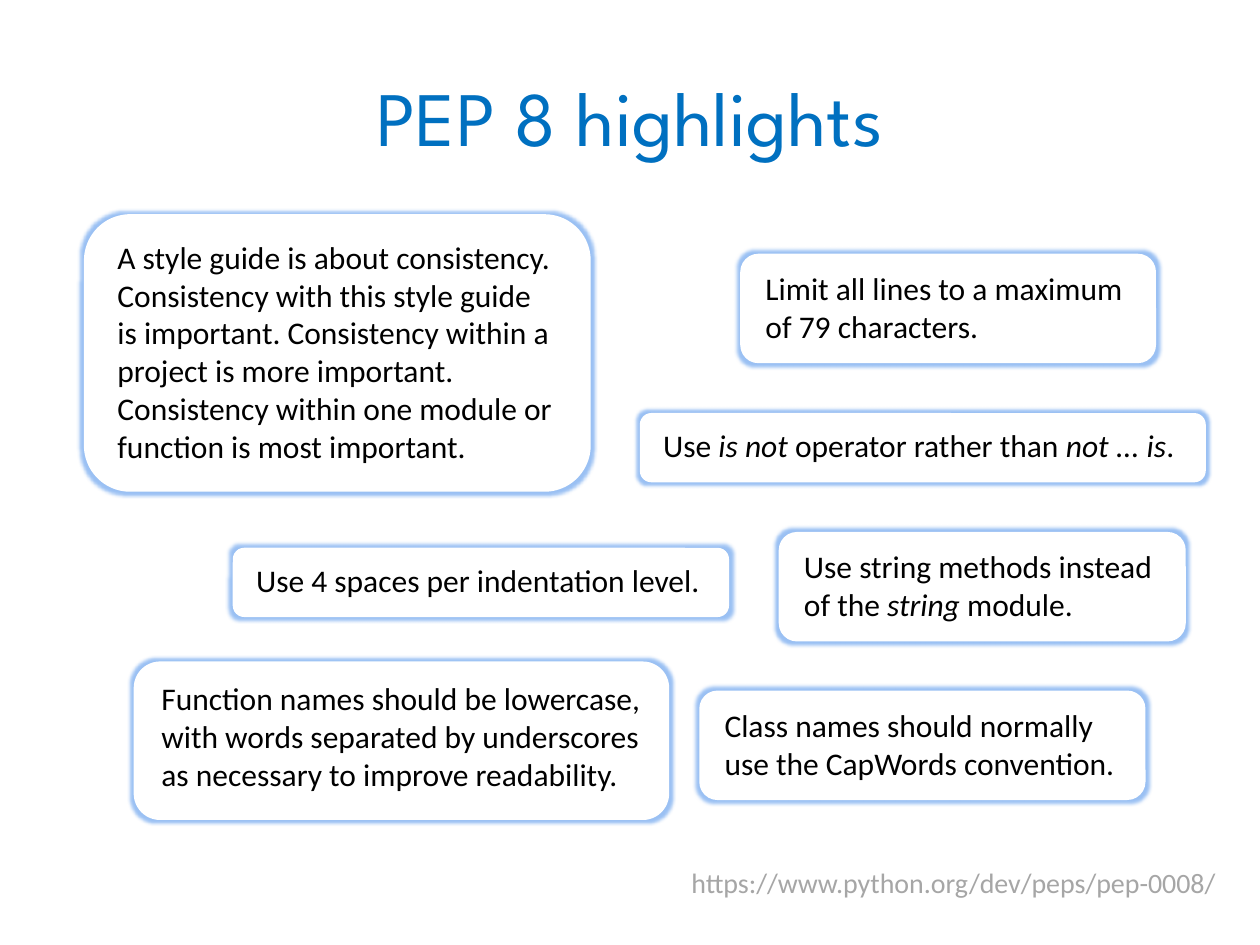
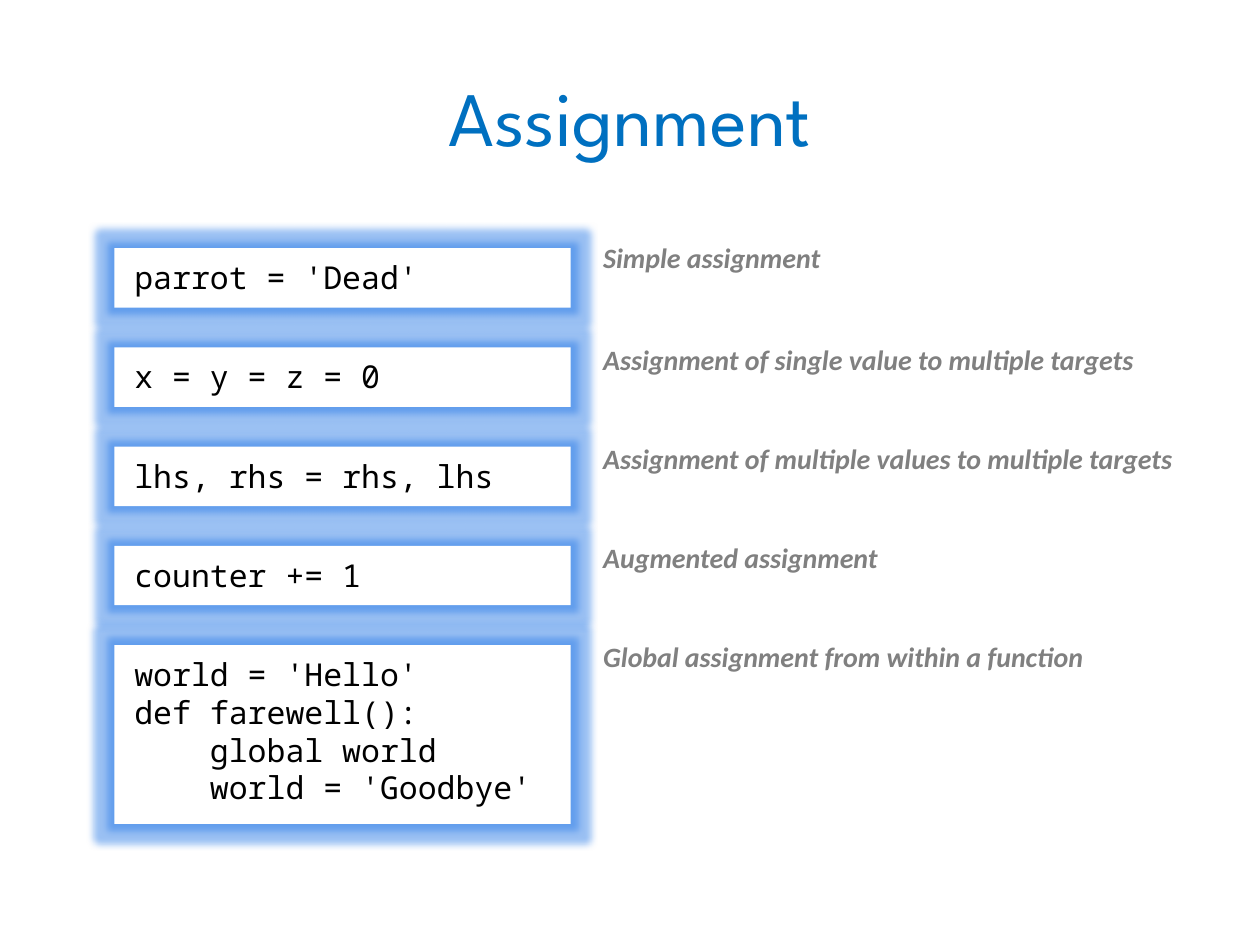
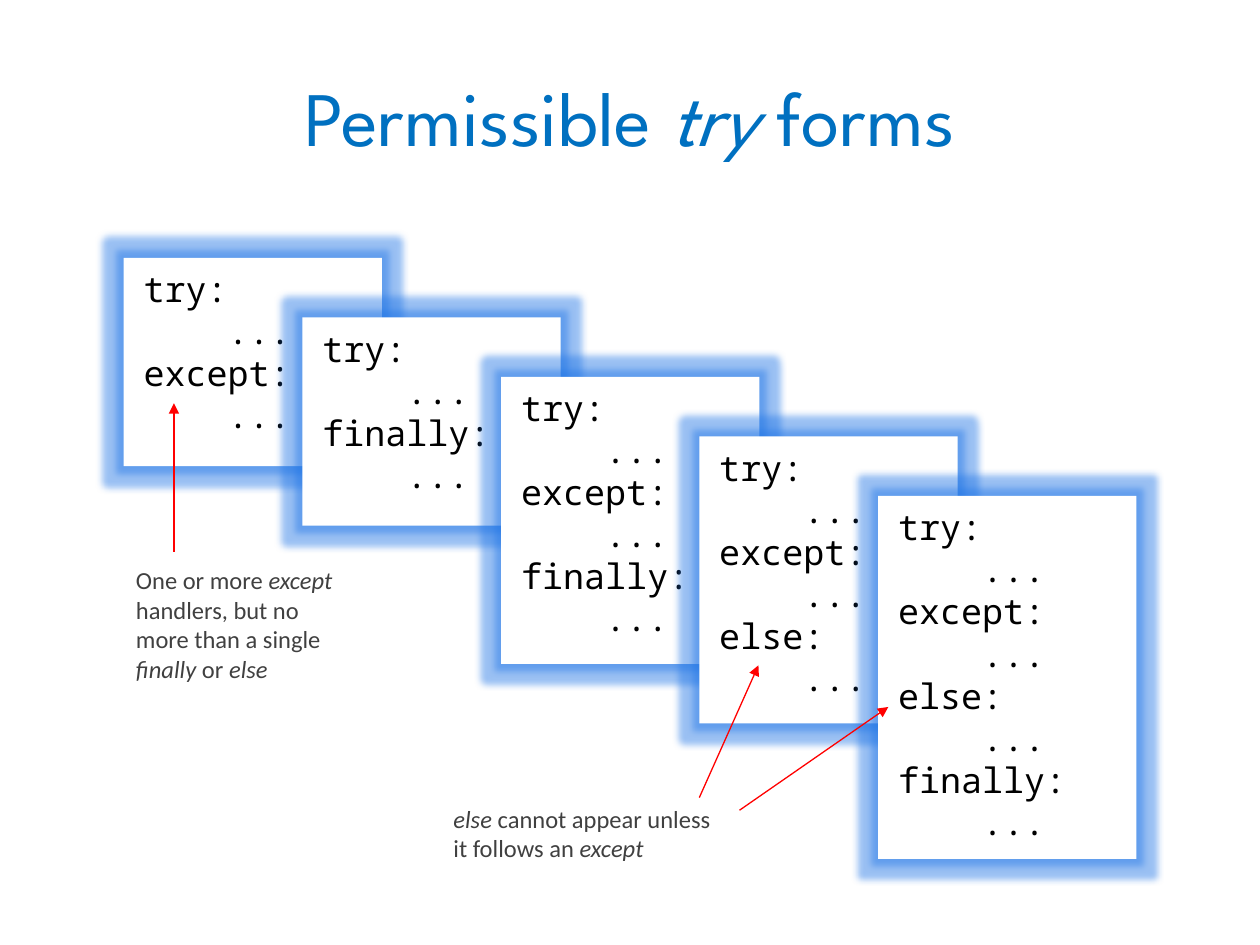
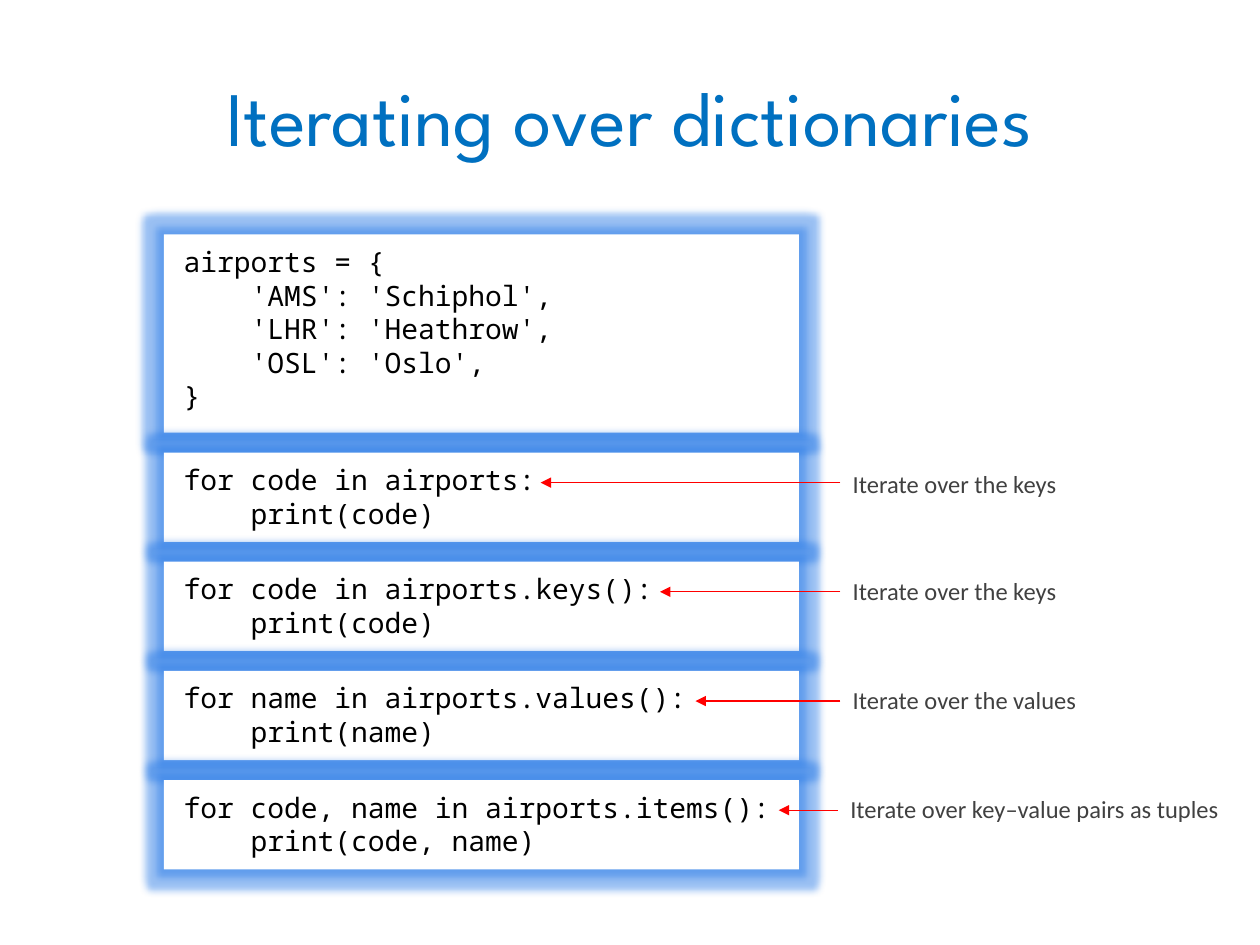
from lxml import etree
from pptx import Presentation
from pptx.dml.color import RGBColor
from pptx.enum import shapes, text
from pptx.oxml import ns
from pptx.util import Pt

# Shared style
BLUE = RGBColor(0x00, 0x70, 0xC0)
BLACK = RGBColor(0, 0, 0)
WHITE = RGBColor(255, 255, 255)
DARK = RGBColor(0x40, 0x40, 0x40)
GREY = RGBColor(0x80, 0x80, 0x80)
PALE = RGBColor(0xA6, 0xA6, 0xA6)
RED = RGBColor(255, 0, 0)
GLOW = RGBColor(0x20, 0x75, 0xE6)
SANS, MONO = "Calibri", "Noto Sans Mono"

TITLE = dict(name="League Spartan", size=Pt(44), color=BLUE)
RULE = dict(name=SANS, size=Pt(18), color=BLACK)
URL = dict(name=SANS, size=Pt(16), color=PALE)
LABEL = dict(name=SANS, size=Pt(16), color=GREY, bold=True, italic=True)
NOTE = dict(name=SANS, size=Pt(14), color=DARK)

# Content: asterisks enclose italic words
RULES = [
    ("A style guide is about consistency. Consistency with this style guide "
     "is important. Consistency within a project is more important. "
     "Consistency within one module or function is most important.",
     (48, 122.4, 289.6, 158.6)),
    ("Use 4 spaces per indentation level.", (133, 313, 283.6, 39.6)),
    ("Limit all lines to a maximum of 79 characters.", (423, 145, 237.6, 62.6)),
    ("Class names should normally use the CapWords convention.",
     (399.6, 394.6, 255, 62.6)),
    ("Function names should be lowercase, with words separated by underscores "
     "as necessary to improve readability.", (76.4, 378, 306, 90.6)),
    ("Use *is not* operator rather than *not ... is*.",
     (365.6, 236, 323.4, 39.6)),
    ("Use string methods instead of the *string* module.",
     (445, 304, 232.6, 62.6)),
]
SOURCE = "https://www.python.org/dev/peps/pep-0008/"

# Code, label, label width
ASSIGNS = [
    (["parrot = 'Dead'"], "Simple assignment", 146),
    (["x = y = z = 0"], "Assignment of single value to multiple targets", 346),
    (["lhs, rhs = rhs, lhs"],
     "Assignment of multiple values to multiple targets", 346),
    (["counter += 1"], "Augmented assignment", 187),
    (["world = 'Hello'", "def farewell():", "    global world",
      "    world = 'Goodbye'"],
     "Global assignment from within a function", 346),
]

# Left, height, clauses
FORMS = [
    (70.6, 119, ["try", "except"]),
    (172.8, 119, ["try", "finally"]),
    (286.4, 164, ["try", "except", "finally"]),
    (399.6, 164, ["try", "except", "else"]),
    (501.8, 207.4, ["try", "except", "else", "finally"]),
]
HINTS = [
    ("One or more *except* handlers, but no more than a single *finally* or "
     "*else*", (70.6, 319.6, 136, 75)),
    ("*else* cannot appear unless it follows an *except*",
     (252, 455.8, 170, 41)),
]
ARROWS = [(99.4, 315.4, 99.4, 230.4), (399.6, 455.8, 433.4, 380.2),
          (422.6, 463, 507.6, 404)]

AIRPORTS = ["airports = {", "    'AMS': 'Schiphol',", "    'LHR': 'Heathrow',",
            "    'OSL': 'Oslo',", "}"]
# Code, note, note left, note drop, arrow tip
LOOPS = [
    (["for code in airports:", "    print(code)"],
     "Iterate over the keys", 480.2, 5.8, 309),
    (["for code in airports.keys():", "    print(code)"],
     "Iterate over the keys", 480.2, 4.4, 377.2),
    (["for name in airports.values():", "    print(name)"],
     "Iterate over the values", 480.2, 4.2, 397.4),
    (["for code, name in airports.items():", "    print(code, name)"],
     "Iterate over key–value pairs as tuples", 478.8, 4.2, 445),
]


# Helpers
def code_font(size):
    return dict(name=MONO, size=Pt(size), color=BLACK)


def write(frame, lines, fmt, align=text.PP_ALIGN.LEFT, **opts):
    for key, val in dict(dict(word_wrap=True), **opts).items():
        setattr(frame, key, val)
    for i, line in enumerate(lines):
        par = frame.add_paragraph() if i else frame.paragraphs[0]
        par.alignment = align
        for n, part in enumerate(line.split("*")):
            if not part:
                continue
            run = par.add_run()
            run.text = part
            for key, val in fmt.items():
                if key == "color":
                    run.font.color.rgb = val
                else:
                    setattr(run.font, key, val)
            if n % 2:
                run.font.italic = True


def label(slide, line, box, fmt, **opts):
    frame = slide.shapes.add_textbox(*map(Pt, box)).text_frame
    opts.setdefault("auto_size", text.MSO_AUTO_SIZE.SHAPE_TO_FIT_TEXT)
    write(frame, [line], fmt, **opts)


def panel(slide, lines, box, fmt, glow=8, kind=shapes.MSO_SHAPE.RECTANGLE):
    shape = slide.shapes.add_shape(kind, *map(Pt, box))
    shape.shadow.inherit = False
    shape.fill.solid()
    shape.fill.fore_color.rgb = WHITE
    shape.line.fill.background()
    effects = shape.element.spPr.find(ns.qn("a:effectLst"))
    halo = etree.SubElement(effects, ns.qn("a:glow"), rad=str(Pt(glow)))
    tint = etree.SubElement(halo, ns.qn("a:srgbClr"), val=str(GLOW))
    etree.SubElement(tint, ns.qn("a:alpha"), val="45000")
    write(shape.text_frame, lines, fmt,
          vertical_anchor=text.MSO_ANCHOR.TOP,
          margin_left=Pt(11.4), margin_right=Pt(11.4),
          margin_top=Pt(5.7), margin_bottom=Pt(5.7))


def arrow(slide, ends):
    line = slide.shapes.add_connector(shapes.MSO_CONNECTOR.STRAIGHT,
                                      *map(Pt, ends))
    line.line.color.rgb = RED
    line.line.width = Pt(0.75)
    etree.SubElement(line.line._get_or_add_ln(), ns.qn("a:tailEnd"),
                     type="triangle")
    etree.SubElement(line.element.spPr, ns.qn("a:effectLst"))


def start(deck, title):
    slide = deck.slides.add_slide(deck.slide_layouts[6])
    label(slide, title, (36, 21, 648, 90), TITLE,
          align=text.PP_ALIGN.CENTER, auto_size=text.MSO_AUTO_SIZE.NONE,
          vertical_anchor=text.MSO_ANCHOR.MIDDLE)
    return slide


# Slides
def style(deck):
    slide = start(deck, "PEP 8 highlights")
    for rule, box in RULES:
        panel(slide, [rule], box, RULE, 4, shapes.MSO_SHAPE.ROUNDED_RECTANGLE)
    label(slide, SOURCE, (388, 491, 318.2, 26.6), URL, word_wrap=False)


def assign(deck):
    slide = start(deck, "Assignment")
    for i, (code, name, wide) in enumerate(ASSIGNS):
        top = 141.8 + 56.7 * i
        high = 34 if len(code) == 1 else 102.2
        panel(slide, code, (65.4, top, 260.8, high), code_font(18))
        label(slide, name, (337.6, top - (6.4 if i else 8), wide, 26.6), LABEL)


def forms(deck):
    slide = start(deck, "Permissible *try* forms")
    for i, (left, high, words) in enumerate(FORMS):
        code = [line for word in words for line in (word + ":", "    ...")]
        panel(slide, code, (left, 147.4 + 34 * i, 147.6, high), code_font(20))
    for hint, box in HINTS:
        label(slide, hint, box, NOTE)
    for ends in ARROWS:
        arrow(slide, ends)


def loops(deck):
    slide = start(deck, "Iterating over dictionaries")
    panel(slide, AIRPORTS, (93.6, 134, 363, 113.2), code_font(16))
    tops = [258.6 + 62.4 * i for i in range(len(LOOPS))]
    for top, (code, *_) in zip(tops, LOOPS):
        panel(slide, code, (93.6, top, 363, 51), code_font(16))
    for top, (_, note, left, drop, tip) in zip(tops, LOOPS):
        label(slide, note, (left, top + drop, 231.4, 24.4), NOTE)
        arrow(slide, (left, top + 17.2, tip, top + 17.2))


def main():
    deck = Presentation()
    deck.slide_width, deck.slide_height = Pt(720), Pt(540)
    for build in (style, assign, forms, loops):
        build(deck)
    deck.save("out.pptx")


if __name__ == "__main__":
    main()
